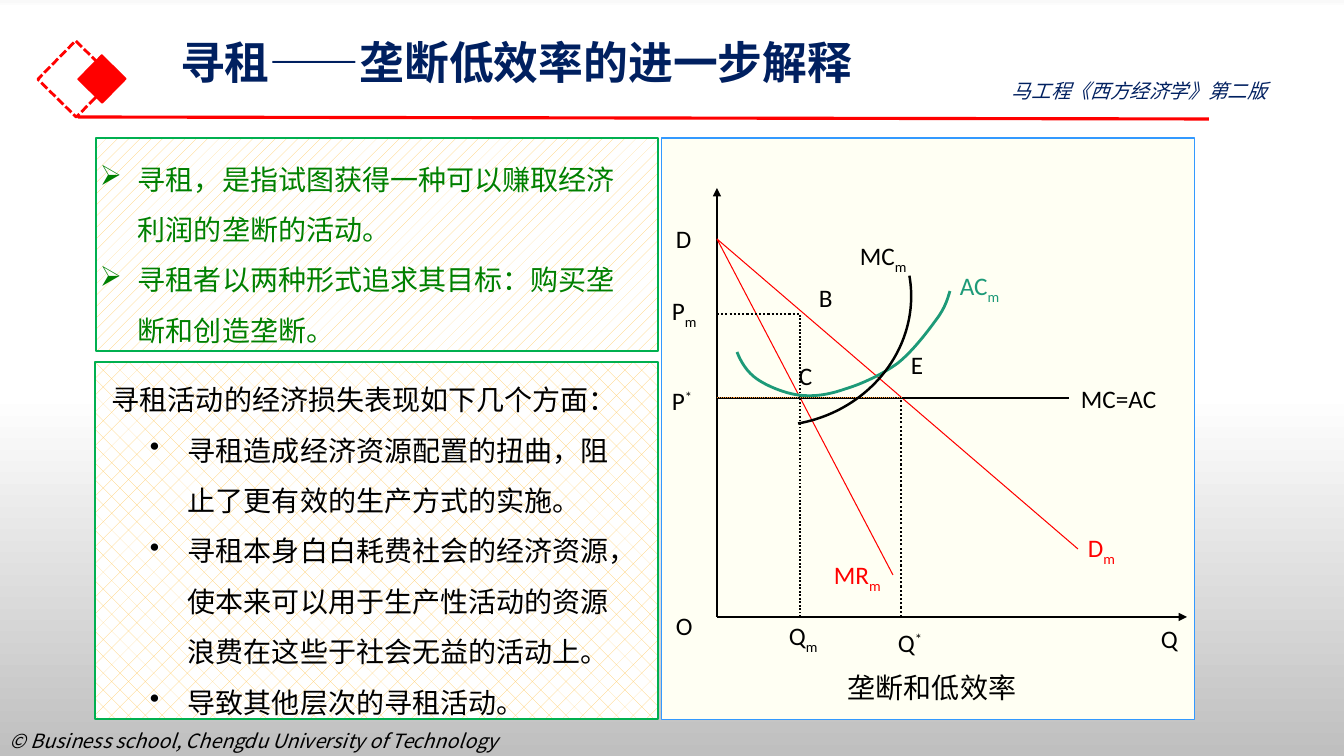
from dataclasses import dataclass
from lxml.etree import SubElement
from pptx import Presentation
from pptx.dml.color import RGBColor
from pptx.enum.dml import MSO_LINE as DASH, MSO_PATTERN as PATTERN
from pptx.enum.shapes import MSO_CONNECTOR, MSO_SHAPE as SHAPE
from pptx.enum.text import MSO_ANCHOR as ANCHOR, PP_ALIGN
from pptx.oxml.ns import qn
from pptx.util import Emu, Pt


@dataclass(frozen=True)
class Theme:
    cjk: str = "Noto Sans CJK SC"
    latin: str = "Calibri"
    navy: str = "002060"
    black: str = "000000"
    red: str = "FF0000"
    white: str = "FFFFFF"
    green: str = "008000"
    frame: str = "00B050"
    teal: str = "1D9A78"
    orange: str = "FF9933"
    blue: str = "3399FF"
    cream: str = "FFFFF3"
    hatch: str = "FFCC66"
    title: int = 32
    body: int = 20
    label: int = 18
    small: int = 14


T = Theme()
SLIDE_SIZE = (1344, 756)
BACKGROUND = [(0, "F9F9F9"), (1, T.white), (52, T.white), (100, "BFBFBF")]

TITLE = "寻租——垄断低效率的进一步解释"
TITLE_BOX = (170, 33, 1159, 96)
SMALL_TEXTS = [
    ("© Business school, Chengdu University of Technology", (0, 724, 672, 64), T.black),
    ("马工程《西方经济学》第二版", (1002, 74, 327, 34), T.navy),
]
CAPTION = ("垄断和低效率", (838, 666, 257, 44))
DEFINITION = [
    ("➢", "寻租，是指试图获得一种可以赚取经济利润的垄断的活动。"),
    ("➢", "寻租者以两种形式追求其目标：购买垄断和创造垄断。"),
]
LOSSES = [
    (None, "寻租活动的经济损失表现如下几个方面："),
    ("•", "寻租造成经济资源配置的扭曲，阻止了更有效的生产方式的实施。"),
    ("•", "寻租本身白白耗费社会的经济资源，使本来可以用于生产性活动的资源浪费在这些于社会无益的活动上。"),
    ("•", "导致其他层次的寻租活动。"),
]

AXIS_X, AXIS_Y = 717, 617
QM, QSTAR = 800, 901
PM, PSTAR, D_TOP = 314, 398, 239
LINES = [
    ((78, 117), (1209, 119), T.red, 2.25, None, False),
    ((AXIS_X, AXIS_Y), (AXIS_X, 188), T.black, 1.75, None, True),
    ((AXIS_X, AXIS_Y), (1187, AXIS_Y), T.black, 1.75, None, True),
    ((AXIS_X, D_TOP), (1078, 549), T.red, 0.75, None, False),
    ((AXIS_X, D_TOP), (893, 575), T.red, 0.75, None, False),
    ((AXIS_X, PSTAR), (1069, PSTAR), T.black, 1.5, None, False),
    ((AXIS_X, PM), (QM, PM), T.black, 1.5, DASH.ROUND_DOT, False),
    ((QM, AXIS_Y), (QM, PM), T.black, 1.25, DASH.ROUND_DOT, False),
    ((AXIS_X, PSTAR), (QSTAR, PSTAR), T.orange, 0.75, DASH.ROUND_DOT, False),
    ((QSTAR, AXIS_Y), (QSTAR, PSTAR), T.black, 1.5, DASH.ROUND_DOT, False),
]
AC_CURVE = [
    (737, 352), (741, 362), (747, 372), (757, 379), (767, 386), (784, 393),
    (798, 395), (813, 397), (828, 395), (845, 389), (862, 384), (883, 374),
    (898, 363), (913, 351), (928, 331), (936, 320), (946, 307), (948, 297), (950, 291),
]
AXIS_LABEL, CURVE_LABEL, POINT_LABEL = (58, 50), (110, 50), (42, 33)
SUB, SUPER = -25000, 30000
LABELS = [
    ("Q", "", 0, (1151, 613), AXIS_LABEL, T.black),
    ("O", "", 0, (666, 600), AXIS_LABEL, T.black),
    ("MC=AC", "", 0, (1071, 373), CURVE_LABEL, T.black),
    ("P", "m", SUB, (662, 288), AXIS_LABEL, T.black),
    ("Q", "m", SUB, (779, 613), AXIS_LABEL, T.black),
    ("P", "*", SUPER, (662, 375), AXIS_LABEL, T.black),
    ("Q", "*", SUPER, (888, 617), AXIS_LABEL, T.black),
    ("D", "", 0, (666, 222), POINT_LABEL, T.black),
    ("B", "", 0, (809, 281), POINT_LABEL, T.black),
    ("C", "", 0, (789, 359), POINT_LABEL, T.black),
    ("E", "", 0, (901, 348), POINT_LABEL, T.black),
    ("MC", "m", SUB, (850, 233), CURVE_LABEL, T.black),
    ("AC", "m", SUB, (950, 263), CURVE_LABEL, T.teal),
    ("MR", "m", SUB, (824, 552), CURVE_LABEL, T.red),
    ("D", "m", SUB, (1078, 525), CURVE_LABEL, T.red),
]


def px(n):
    return Emu(round(n * 914400 / 100.8))


def rgb(value):
    return RGBColor.from_string(value)


def style_run(r, font, size, color, bold=False, italic=False):
    r.font.name, r.font.size = font, Pt(size)
    r.font.bold, r.font.italic = bold, italic
    r.font.color.rgb = rgb(color)
    SubElement(r.font._element, qn("a:ea")).set("typeface", font)


def style_line(line, color, width, dash=None):
    line.color.rgb, line.width = rgb(color), Pt(width)
    if dash:
        line.dash_style = dash


def add_shape(slide, kind, box, color, width, fill=None, pattern=None, dash=None, turn=0):
    sp = slide.shapes.add_shape(kind, *map(px, box))
    sp.shadow.inherit = False
    sp.rotation = turn
    style_line(sp.line, color, width, dash)
    if pattern:
        sp.fill.patterned()
        sp.fill.pattern = pattern
        sp.fill.fore_color.rgb, sp.fill.back_color.rgb = rgb(T.hatch), rgb(T.white)
    elif fill:
        sp.fill.solid()
        sp.fill.fore_color.rgb = rgb(fill)
    else:
        sp.fill.background()


def add_text(slide, box, text, size, color, font=T.cjk, wrap=True, anchor=ANCHOR.TOP, italic=False):
    tf = slide.shapes.add_textbox(*map(px, box)).text_frame
    tf.word_wrap, tf.vertical_anchor = wrap, anchor
    p = tf.paragraphs[0]
    p.text = text
    if font == T.cjk:
        p.line_spacing = Pt(round(size * 1.2))
    style_run(p.runs[0], font, size, color, italic=italic)
    return p


def add_list(slide, box, items, color, indent, anchor):
    tf = slide.shapes.add_textbox(*map(px, box)).text_frame
    tf.word_wrap, tf.vertical_anchor = True, anchor
    for i, (bullet, text) in enumerate(items):
        p = tf.add_paragraph() if i else tf.paragraphs[0]
        p.text = text
        p.line_spacing = Pt(T.body * 1.8)
        if bullet:
            pPr = p._p.get_or_add_pPr()
            pPr.set("marL", str(px(indent)))
            pPr.set("indent", str(px(-38)))
            SubElement(pPr, qn("a:buChar")).set("char", bullet)
        style_run(p.runs[0], T.cjk, T.body, color)


def add_line(slide, start, end, color, width, dash, arrow):
    line = slide.shapes.add_connector(MSO_CONNECTOR.STRAIGHT, *map(px, start + end))
    style_line(line.line, color, width, dash)
    if arrow:
        SubElement(line.line._get_or_add_ln(), qn("a:tailEnd")).set("type", "triangle")
    SubElement(line._element.spPr, qn("a:effectLst"))


def add_curve(slide, points, color, width):
    start, *rest = [(px(x), px(y)) for x, y in points]
    builder = slide.shapes.build_freeform(*start)
    builder.add_line_segments(rest, close=False)
    sp = builder.convert_to_shape()
    sp.shadow.inherit = False
    sp.fill.background()
    style_line(sp.line, color, width)
    path = next(sp._element.iter(qn("a:path")))
    steps = path.findall(qn("a:lnTo"))
    for i in range(0, len(steps), 3):
        bezier = SubElement(path, qn("a:cubicBezTo"))
        for step in steps[i:i + 3]:
            bezier.append(step[0])
            path.remove(step)


def set_background(slide):
    fill = slide.background.fill
    fill.gradient()
    fill.gradient_angle = 270
    stops = next(slide.element.iter(qn("a:gsLst")))
    for stop in list(stops):
        stops.remove(stop)
    for percent, color in BACKGROUND:
        stop = SubElement(stops, qn("a:gs"), pos=str(percent * 1000))
        SubElement(stop, qn("a:srgbClr"), val=color)


def set_title(slide):
    sp = slide.shapes.title
    sp.left, sp.top, sp.width, sp.height = map(px, TITLE_BOX)
    tf = sp.text_frame
    tf.text = TITLE
    tf.vertical_anchor = ANCHOR.TOP
    p = tf.paragraphs[0]
    p.alignment, p.line_spacing = PP_ALIGN.LEFT, Pt(36)
    style_run(p.runs[0], T.cjk, T.title, T.navy, bold=True)


def main():
    prs = Presentation()
    prs.slide_width, prs.slide_height = map(px, SLIDE_SIZE)
    slide = prs.slides.add_slide(prs.slide_layouts[5])
    set_background(slide)
    set_title(slide)
    for text, box, color in SMALL_TEXTS:
        add_text(slide, box, text, T.small, color, italic=True)
    add_shape(slide, SHAPE.RECTANGLE, (662, 138, 533, 582), T.blue, 0.75, T.cream)
    add_shape(slide, SHAPE.RECTANGLE, (96, 138, 562, 213), T.frame, 1.75, pattern=PATTERN.PERCENT_10)
    add_shape(slide, SHAPE.RECTANGLE, (95, 362, 563, 357), T.frame, 1.75, pattern=PATTERN.DOTTED_DIAMOND)
    add_shape(slide, SHAPE.RECTANGLE, (49, 52, 54, 54), T.red, 2, dash=DASH.SQUARE_DOT, turn=314.5)
    add_shape(slide, SHAPE.RECTANGLE, (85, 62, 34, 34), T.red, 1, T.red, turn=314.5)
    add_list(slide, (90, 183, 562, 126), DEFINITION, T.green, 38, ANCHOR.MIDDLE)
    add_list(slide, (102, 361, 526, 366), LOSSES, T.black, 76, ANCHOR.TOP)
    for line in LINES:
        add_line(slide, *line)
    add_curve(slide, AC_CURVE, T.teal, 2)
    add_shape(slide, SHAPE.ARC, (650, 164, 252, 271), T.black, 1.75, turn=79.9)
    for text, mark, shift, spot, size, color in LABELS:
        p = add_text(slide, spot + size, text, T.label, color, T.latin, True, ANCHOR.MIDDLE)
        if mark:
            r = p.add_run()
            r.text = mark
            style_run(r, T.latin, T.label, color)
            r.font._element.set("baseline", str(shift))
    add_text(slide, CAPTION[1], CAPTION[0], T.body, T.black)
    prs.save("out.pptx")


if __name__ == "__main__":
    main()
